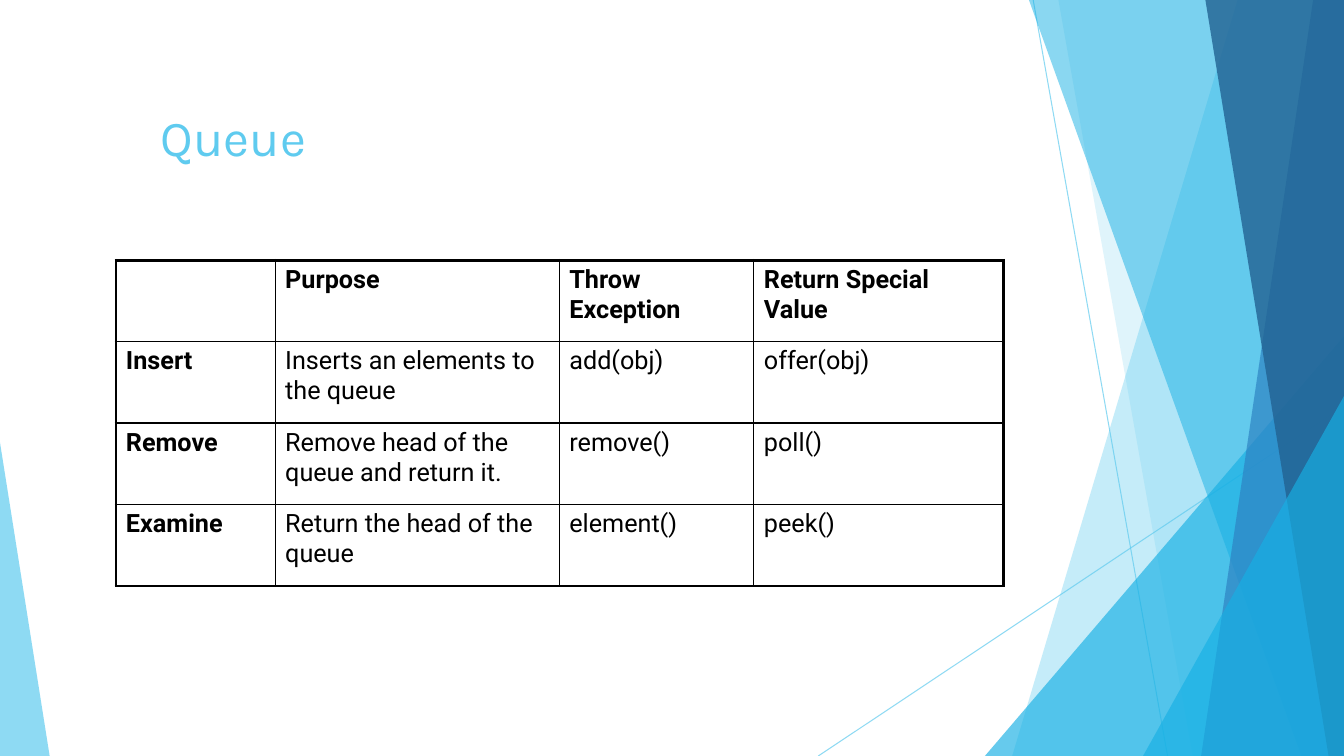
from lxml.etree import SubElement
from pptx import Presentation
from pptx.dml.color import RGBColor
from pptx.enum.shapes import MSO_CONNECTOR, MSO_SHAPE
from pptx.enum.text import MSO_ANCHOR
from pptx.oxml.ns import qn
from pptx.util import Pt

WIDTH, HEIGHT = 960, 540
SKY, CYAN, BLUE, NAVY, BLACK = "5FCBEF", "17B0E4", "2E83C3", "226292", "000000"

METHODS = [
    ["", "Purpose", "Throw Exception", "Return Special Value"],
    ["Insert", "Inserts an elements to the queue", "add(obj)", "offer(obj)"],
    ["Remove", "Remove head of the queue and return it.", "remove()", "poll()"],
    ["Examine", "Return the head of the queue", "element()", "peek()"],
]
COLUMN_WIDTHS = [113.75, 203, 139, 178.5]
ROW_HEIGHT = 58.2


def color(hex_string):
    return RGBColor.from_string(hex_string)


def set_opacity(parent, percent):
    """Make the solid colour inside an XML element partly transparent."""
    rgb = parent.find(".//" + qn("a:srgbClr"))
    SubElement(rgb, qn("a:alpha"), val=str(percent * 1000))


def paint(shape, hex_string, opacity):
    shape.shadow.inherit = False
    shape.fill.solid()
    shape.fill.fore_color.rgb = color(hex_string)
    set_opacity(shape._element.spPr, opacity)
    shape.line.fill.background()


def add_ray(slide, x1, y1, x2, y2):
    ray = slide.shapes.add_connector(
        MSO_CONNECTOR.STRAIGHT, Pt(x1), Pt(y1), Pt(x2), Pt(y2))
    ray.line.width = Pt(0.75)
    ray.line.color.rgb = color(SKY)
    properties = ray._element.spPr
    set_opacity(properties, 70)
    SubElement(properties, qn("a:effectLst"))


def add_band(slide, top_x, bottom_x, hex_string, opacity):
    """Fill from a slanted left edge to the right side of the slide."""
    builder = slide.shapes.build_freeform(Pt(top_x), 0)
    builder.add_line_segments([
        (Pt(WIDTH), 0), (Pt(WIDTH), Pt(HEIGHT)), (Pt(bottom_x), Pt(HEIGHT))])
    paint(builder.convert_to_shape(), hex_string, opacity)


def add_corner(slide, left, top, width, apex, hex_string, opacity):
    """Add a right triangle that stands on the bottom of the slide."""
    corner = slide.shapes.add_shape(
        MSO_SHAPE.ISOSCELES_TRIANGLE,
        Pt(left), Pt(top), Pt(width), Pt(HEIGHT - top))
    corner.adjustments[0] = apex
    paint(corner, hex_string, opacity)


def add_title(slide, text):
    title = slide.shapes.add_textbox(Pt(107.5), Pt(72), Pt(816), Pt(78.5))
    frame = title.text_frame
    frame.word_wrap = True
    frame.vertical_anchor = MSO_ANCHOR.TOP
    frame.text = text
    font = frame.paragraphs[0].font
    font.name, font.size = "Karla", Pt(36)
    font.color.rgb = color(SKY)


def add_borders(cell, outer_sides):
    properties = cell._tc.get_or_add_tcPr()
    for side in "LRTB":
        width = Pt(2.25 if side in outer_sides else 1)
        border = SubElement(properties, qn(f"a:ln{side}"), w=str(width))
        fill = SubElement(border, qn("a:solidFill"))
        SubElement(fill, qn("a:srgbClr"), val=BLACK)


def add_methods_table(slide, left, top):
    rows, columns = len(METHODS), len(COLUMN_WIDTHS)
    table = slide.shapes.add_table(
        rows, columns, Pt(left), Pt(top),
        Pt(sum(COLUMN_WIDTHS)), Pt(ROW_HEIGHT * rows)).table
    table.first_row = table.horz_banding = False
    for column, width in zip(table.columns, COLUMN_WIDTHS):
        column.width = Pt(width)
    for r, texts in enumerate(METHODS):
        table.rows[r].height = Pt(ROW_HEIGHT)
        for c, text in enumerate(texts):
            cell = table.cell(r, c)
            edges = {"L": c == 0, "R": c == columns - 1,
                     "T": r == 0, "B": r == rows - 1}
            add_borders(cell, [side for side in edges if edges[side]])
            cell.fill.background()
            cell.text = text
            font = cell.text_frame.paragraphs[0].font
            font.name, font.size = "Roboto", Pt(18)
            font.bold = r == 0 or c == 0
            font.color.rgb = color(BLACK)


def main():
    presentation = Presentation()
    presentation.slide_width, presentation.slide_height = Pt(WIDTH), Pt(HEIGHT)
    slide = presentation.slides.add_slide(presentation.slide_layouts[6])

    # Faceted decoration
    add_ray(slide, 738, 0, 834, HEIGHT)
    add_ray(slide, WIDTH, 290, 584.5, HEIGHT)
    add_band(slide, 884, 723, SKY, 36)
    add_band(slide, 756, 852, SKY, 20)
    add_corner(slide, 703.5, 240, 256.5, 1, CYAN, 66)
    add_band(slide, 735, 929.5, CYAN, 50)
    add_band(slide, 938, 858, BLUE, 70)
    add_band(slide, 861, 949, NAVY, 80)
    add_corner(slide, 816.5, 283, 143.5, 1, CYAN, 66)
    add_corner(slide, 0, 316, 35.5, 0, SKY, 70)

    # Content
    add_title(slide, "Queue")
    add_methods_table(slide, 82.8, 185.8)

    presentation.save("out.pptx")


if __name__ == "__main__":
    main()
